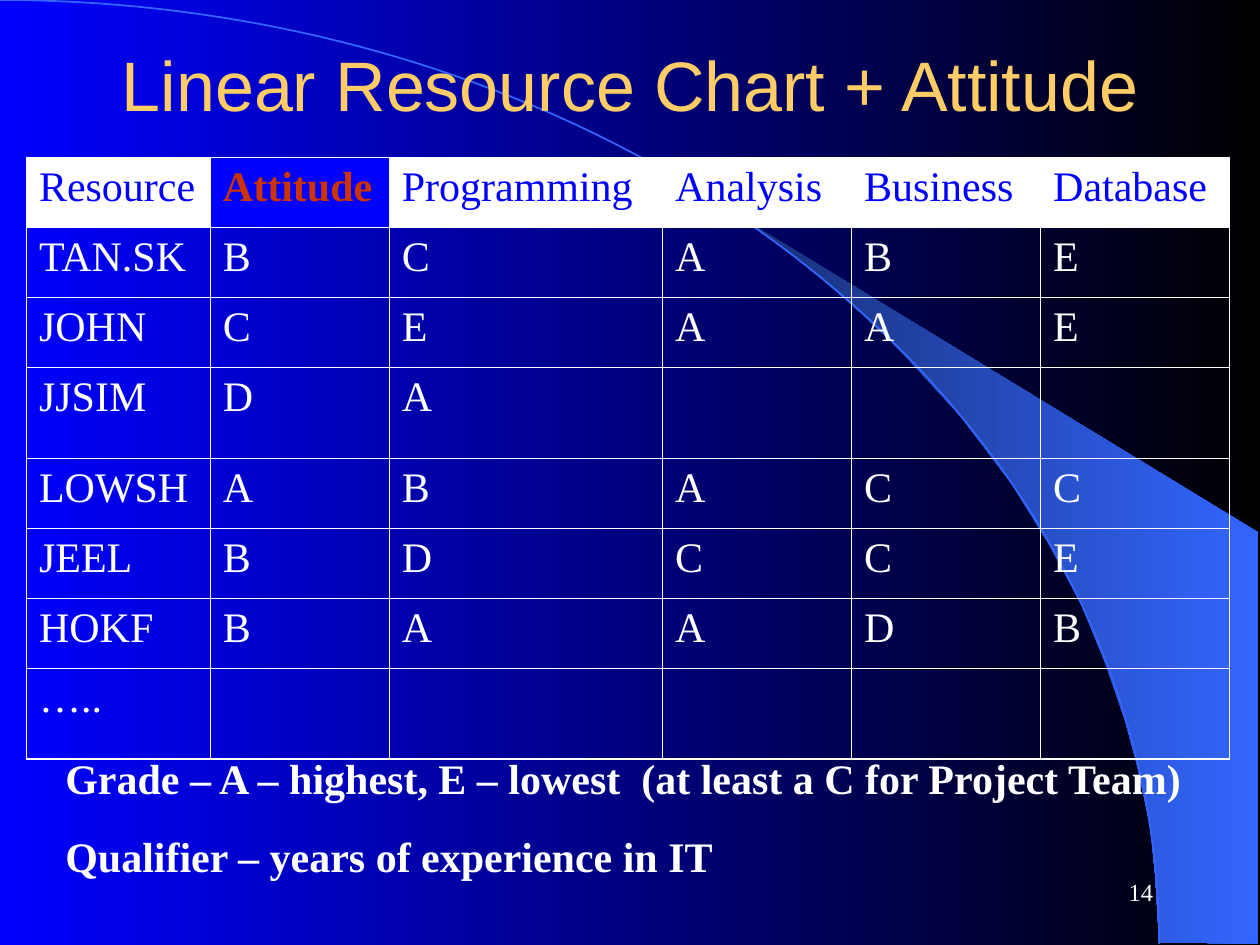
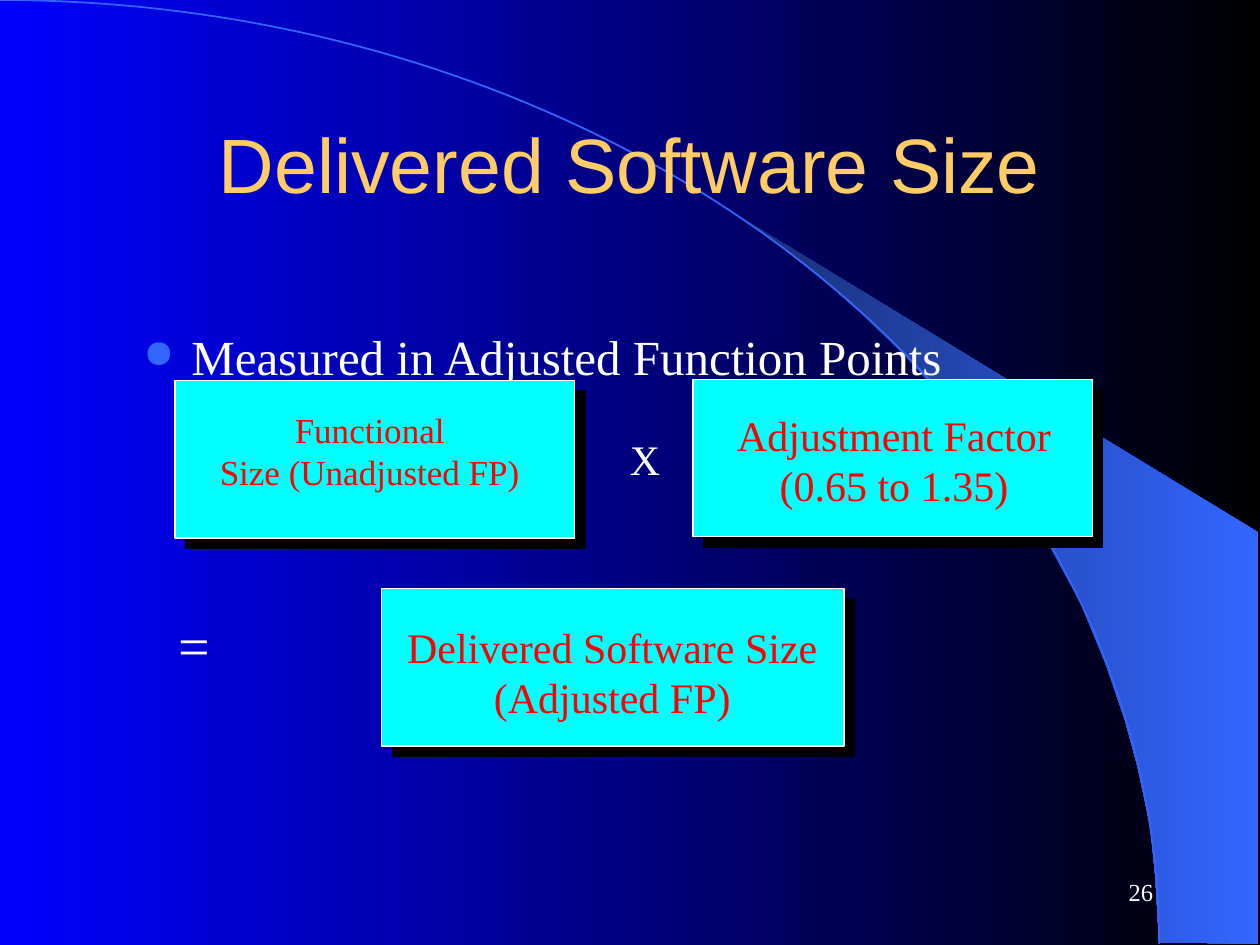
from math import cos, pi, sin

from lxml.etree import SubElement
from pptx import Presentation
from pptx.dml.color import RGBColor
from pptx.enum.shapes import MSO_SHAPE
from pptx.enum.text import MSO_ANCHOR, MSO_AUTO_SIZE, PP_ALIGN
from pptx.oxml import parse_xml
from pptx.oxml.ns import nsdecls, qn
from pptx.util import Inches, Pt

# Grid: 100 columns by 75 rows over the slide
WIDE, HIGH = Inches(10), Inches(7.5)
COLS, ROWS = 100, 75

HUES = {
    "blue": "0000FF", "black": "000000", "white": "FFFFFF", "gold": "FFCC66",
    "sky": "3366FF", "navy": "182F76", "rust": "CC3300", "cyan": "00FFFF",
    "red": "FF0000",
}
SERIF, SANS = "Times New Roman", "Arial"

SWOOSH = [
    (92, 74.8), (99.9, 74.9), (99.9, 42.3), (58.9, 17.3), (62.4, 19.9),
    (65.3, 22.2), (68.5, 25), (71.6, 28), (76.2, 33), (80.3, 38.4),
    (83.2, 43.1), (85.8, 47.9), (87.8, 52.8), (89.3, 57.2), (90.3, 60.9),
    (91.3, 65.6), (91.7, 69.6),
]
HEADS = ["Resource", "Attitude", "Programming", "Analysis", "Business", "Database"]
GRADES = [
    ("TAN.SK", "BCABE"), ("JOHN", "CEAAE"), ("JJSIM", "DA"), ("LOWSH", "ABACC"),
    ("JEEL", "BDCCE"), ("HOKF", "BAADB"), ("…..", ""),
]


def hue(name):
    return RGBColor.from_string(HUES[name])


def spot(x, y):
    return round(x * WIDE / COLS), round(y * HIGH / ROWS)


def place(x, y, w, h):
    return *spot(x, y), *spot(w, h)


def assign(thing, form):
    for key, value in form.items():
        setattr(thing, key, value)


def ink(font, size, tint, face=SERIF, bold=False):
    assign(font, {"size": Pt(size), "name": face, "bold": bold})
    font.color.rgb = hue(tint)


def blend(fill, start, end):
    fill.gradient()
    fill.gradient_angle = 0
    for stop, tint in zip(fill.gradient_stops, (start, end)):
        stop.color.rgb = hue(tint)


def label(slide, box, lines, size, tint="white", align=PP_ALIGN.LEFT,
          bold=False, gap=0, **frame):
    """Add a text box with one paragraph for each line."""
    text = slide.shapes.add_textbox(*place(*box)).text_frame
    assign(text, {"word_wrap": True, **frame})
    for i, line in enumerate(lines):
        para = text.paragraphs[0] if i == 0 else text.add_paragraph()
        para.text = line
        assign(para, {"alignment": align, "space_before": Pt(gap if i else 0)})
        ink(para.font, size, tint, bold=bold)
    return text


def trace(slide, spots, close):
    first, *rest = [spot(x, y) for x, y in spots]
    pen = slide.shapes.build_freeform(*first)
    pen.add_line_segments(rest, close=close)
    form = pen.convert_to_shape()
    form.shadow.inherit = False
    return form


def backdrop(slide):
    """Give the slide's layout the gradient, the swoosh and the arc."""
    layout = slide.slide_layout
    blend(layout.background.fill, "blue", "black")

    swoosh = trace(slide, SWOOSH, True)
    blend(swoosh.fill, "navy", "sky")
    swoosh.line.fill.background()

    steps = 90
    turns = [pi / 2 * i / steps for i in range(steps + 1)]
    arc = trace(slide, [(92 * sin(t), 74.9 * (1 - cos(t))) for t in turns], False)
    arc.fill.background()
    arc.line.color.rgb = hue("sky")
    arc.line.width = Pt(1)

    for i, form in enumerate((swoosh, arc)):
        layout.shapes.element.insert(2 + i, form.element)


def start(deck, title, box, size, page):
    """Add a slide with its title and page number."""
    slide = deck.slides.add_slide(deck.slide_layouts[5])
    head = slide.shapes.title
    assign(head, dict(zip(("left", "top", "width", "height"), place(*box))))
    text = head.text_frame
    text.text = title
    assign(text, {"vertical_anchor": MSO_ANCHOR.MIDDLE, "word_wrap": True,
                  "auto_size": MSO_AUTO_SIZE.NONE})
    text.paragraphs[0].alignment = PP_ALIGN.CENTER
    ink(text.paragraphs[0].font, size, "gold", SANS)
    label(slide, (71.7, 68.3, 20.8, 5), [page], 14, align=PP_ALIGN.RIGHT,
          vertical_anchor=MSO_ANCHOR.MIDDLE)
    return slide


def frame(cell, edges):
    """Rule a cell, with thick lines on the table's outer edges."""
    props = cell._tc.get_or_add_tcPr()
    for side in "LRTB":
        width = Pt(1.08 if side in edges else 0.45)
        props.append(parse_xml(
            f'<a:ln{side} {nsdecls("a")} w="{width}"><a:solidFill>'
            f'<a:srgbClr val="{HUES["white"]}"/></a:solidFill></a:ln{side}>'))


def chart(slide):
    """Add the table of grades."""
    rows = [HEADS] + [[name, *marks.ljust(5)] for name, marks in GRADES]
    wides = [14.6, 14.2, 21.7, 15, 15, 15]
    highs = [7.2 if " " in row else 5.56 for row in rows]
    table = slide.shapes.add_table(
        len(rows), len(HEADS), *place(2.1, 12.5, sum(wides), sum(highs))).table
    assign(table, {"first_row": False, "horz_banding": False})
    for col, wide in zip(table.columns, wides):
        col.width = spot(wide, 0)[0]
    for r, (row, high) in enumerate(zip(rows, highs)):
        table.rows[r].height = spot(0, high)[1]
        for c, word in enumerate(row):
            cell = table.cell(r, c)
            ends = {"L": c == 0, "R": c == len(HEADS) - 1,
                    "T": r == 0, "B": r == len(rows) - 1}
            frame(cell, [side for side, outer in ends.items() if outer])
            key = r == 0 and c == 1
            if r == 0:
                cell.fill.solid()
                cell.fill.fore_color.rgb = hue("blue" if key else "white")
            else:
                cell.fill.background()
            cell.text = word.strip()
            tint = "rust" if key else "white" if r else "blue"
            ink(cell.text_frame.paragraphs[0].font, 24, tint, bold=key)


def card(slide, box, inner, lines, size, wrap=False):
    """Add a cyan card with a hard shadow and its caption."""
    form = slide.shapes.add_shape(MSO_SHAPE.RECTANGLE, *place(*box))
    form.fill.solid()
    form.fill.fore_color.rgb = hue("cyan")
    form.line.color.rgb = hue("white")
    form.line.width = Pt(0.75)
    form.shadow.inherit = False
    glow = form.element.spPr.find(qn("a:effectLst"))
    shade = SubElement(glow, qn("a:outerShdw"), dist=str(Pt(8.5)),
                       dir=str(45 * 60000), algn="ctr", rotWithShape="0")
    SubElement(shade, qn("a:srgbClr"), val=HUES["black"])
    label(slide, inner, lines, size, "red", PP_ALIGN.CENTER, word_wrap=wrap)


def bullet(para, indent):
    props = para._p.get_or_add_pPr()
    props.set("marL", str(indent))
    props.set("indent", str(-indent))
    tint = SubElement(props, qn("a:buClr"))
    SubElement(tint, qn("a:srgbClr"), val=HUES["sky"])
    SubElement(props, qn("a:buSzPct"), val="80000")
    SubElement(props, qn("a:buChar"), char="●")


def main():
    deck = Presentation()
    assign(deck, {"slide_width": WIDE, "slide_height": HIGH})

    # Resource grades
    slide = start(deck, "Linear Resource Chart + Attitude", (7.5, 2.5, 85, 8.3), 40, "14")
    backdrop(slide)
    chart(slide)
    label(slide, (4.2, 59.2, 91.7, 11.1), [
        "Grade – A – highest, E – lowest\u00a0 (at least a C for Project Team)".replace("\u00a0", " "),
        "Qualifier – years of experience in IT",
    ], 24, bold=True, gap=16)

    # Size formula
    slide = start(deck, "Delivered Software Size", (7.5, 6.7, 85, 12.5), 44, "26")
    text = label(slide, (10.4, 25.4, 79.9, 41.3), ["Measured in Adjusted Function Points"], 28)
    bullet(text.paragraphs[0], Inches(0.38))
    card(slide, (13.9, 30.2, 31.7, 12.5), (15.2, 31.9, 28.3, 7.7),
         ["Functional", "Size (Unadjusted FP)"], 20, wrap=True)
    card(slide, (55, 30.1, 31.7, 12.5), (57.5, 32, 26.9, 9),
         ["Adjustment Factor", "(0.65 to 1.35)"], 24)
    label(slide, (49, 33.9, 4.4, 5), ["X"], 24, word_wrap=False)
    label(slide, (13.2, 48, 5.8, 6.4), ["="], 32)
    card(slide, (30.3, 46.7, 36.7, 12.5), (31.3, 48.8, 34.6, 9),
         ["Delivered Software Size", "(Adjusted FP)"], 24)

    deck.save("out.pptx")


if __name__ == "__main__":
    main()
